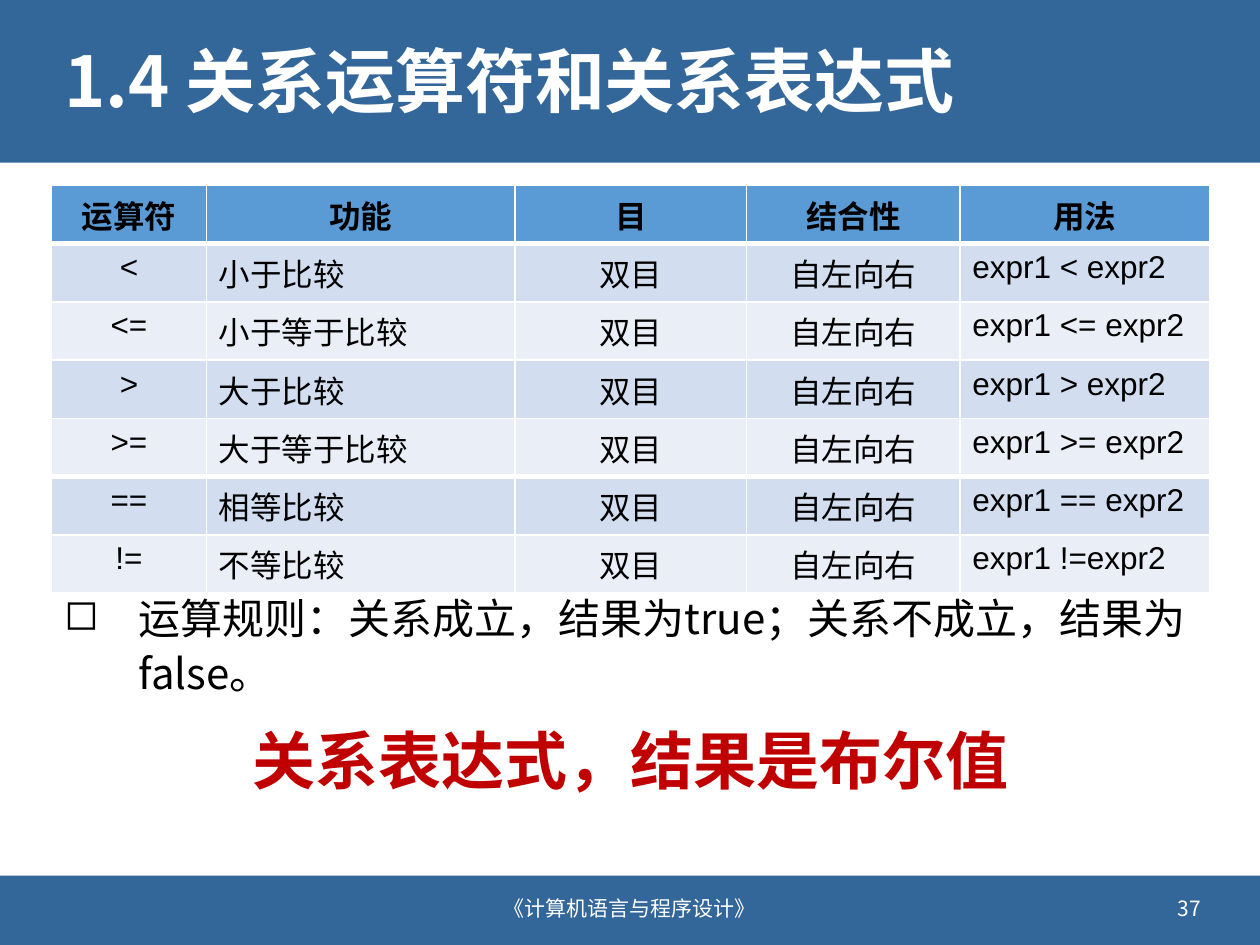
from dataclasses import dataclass

from lxml import etree
from pptx import Presentation
from pptx.dml.color import RGBColor
from pptx.enum import shapes, text
from pptx.oxml import ns
from pptx.util import Pt

WHITE = RGBColor(0xFF, 0xFF, 0xFF)
BLACK = RGBColor(0, 0, 0)
RED = RGBColor(0xC0, 0, 0)
BAND_BLUE = RGBColor(0x33, 0x66, 0x99)
HEADER_BLUE = RGBColor(0x5B, 0x9B, 0xD5)
ROW_FILLS = (RGBColor(0xD2, 0xDE, 0xEF), RGBColor(0xEA, 0xEF, 0xF7))

CJK = "Noto Sans CJK SC"
LEFT, CENTER, RIGHT = (text.PP_ALIGN.LEFT, text.PP_ALIGN.CENTER,
                       text.PP_ALIGN.RIGHT)
TOP, MIDDLE = text.MSO_ANCHOR.TOP, text.MSO_ANCHOR.MIDDLE

SLIDE_WIDTH, SLIDE_HEIGHT = 720, 540
MARGIN, CONTENT_WIDTH = 29.5, 661.7
INDENT = 42.5


@dataclass(frozen=True)
class Style:
    size: float
    color: RGBColor
    name: str = CJK
    bold: bool = False
    align: text.PP_ALIGN = LEFT


@dataclass(frozen=True)
class Label:
    words: str
    left: float
    top: float
    width: float
    height: float
    style: Style
    anchor: text.MSO_ANCHOR = TOP
    fit: text.MSO_AUTO_SIZE = text.MSO_AUTO_SIZE.NONE


TITLE = Label("1.4 关系运算符和关系表达式", MARGIN, 13, CONTENT_WIDTH, 71.3,
              Style(40, WHITE, bold=True), MIDDLE)
RULE = Label("运算规则：关系成立，结果为true；关系不成立，结果为false。",
             MARGIN, 332, CONTENT_WIDTH, 154, Style(24, BLACK))
OTHER_LABELS = (
    Label("关系表达式，结果是布尔值", 131.8, 409, 456.5, 51,
          Style(36, RED, "Arial", True, CENTER),
          fit=text.MSO_AUTO_SIZE.SHAPE_TO_FIT_TEXT),
    Label("《计算机语言与程序设计》", 230.4, 504.7, 259.2, 28.8,
          Style(12, WHITE, align=CENTER), MIDDLE),
    Label("37", 520.6, 504.7, 172.8, 28.8,
          Style(12, WHITE, align=RIGHT), MIDDLE),
)

HEADERS = ("运算符", "功能", "目", "结合性", "用法")
OPERATORS = (
    ("<", "小于比较", "expr1 < expr2"),
    ("<=", "小于等于比较", "expr1 <= expr2"),
    (">", "大于比较", "expr1 > expr2"),
    (">=", "大于等于比较", "expr1 >= expr2"),
    ("==", "相等比较", "expr1 == expr2"),
    ("!=", "不等比较", "expr1 !=expr2"),
)
COLUMN_WIDTHS = (88.4, 176.4, 132.4, 121.8, 142.7)
COLUMN_ALIGNS = (CENTER, LEFT, CENTER, CENTER, LEFT)
ROW_HEIGHT = 29.2
THICK_RULE_BELOW = (0, 4)


def write(frame, words: str, style: Style):
    para = frame.paragraphs[0]
    para.alignment = style.align
    span = para.add_run()
    span.text = words
    span.font.color.rgb = style.color
    for key, value in {"size": Pt(style.size), "bold": style.bold,
                       "name": style.name}.items():
        setattr(span.font, key, value)
    etree.SubElement(span._r.get_or_add_rPr(), ns.qn("a:ea"), typeface=CJK)
    return para


def fill_label(box, label: Label):
    for side in ("left", "top", "width", "height"):
        setattr(box, side, Pt(getattr(label, side)))
    frame = box.text_frame
    for key, value in {"word_wrap": True, "auto_size": label.fit,
                       "vertical_anchor": label.anchor}.items():
        setattr(frame, key, value)
    return write(frame, label.words, label.style)


def add_label(page, label: Label):
    box = page.shapes.add_textbox(0, 0, 0, 0)
    return fill_label(box, label)


def add_band(page, top: float, height: float) -> None:
    """Draw a full-width band behind the title."""
    band = page.shapes.add_shape(shapes.MSO_SHAPE.RECTANGLE, 0, Pt(top),
                                 Pt(SLIDE_WIDTH), Pt(height))
    band.shadow.inherit = False
    band.fill.solid()
    band.fill.fore_color.rgb = BAND_BLUE
    band.line.fill.background()
    page.shapes.title.element.addprevious(band.element)


def set_borders(cell, top: float, bottom: float) -> None:
    properties = cell._tc.get_or_add_tcPr()
    for side, width in {"L": 1, "R": 1, "T": top, "B": bottom}.items():
        line = etree.SubElement(properties, ns.qn(f"a:ln{side}"),
                                w=str(Pt(width)))
        fill = etree.SubElement(line, ns.qn("a:solidFill"))
        etree.SubElement(fill, ns.qn("a:srgbClr"), val=str(WHITE))


def add_operator_table(page) -> None:
    rows = [HEADERS] + [(sign, meaning, "双目", "自左向右", usage)
                        for sign, meaning, usage in OPERATORS]
    table = page.shapes.add_table(
        len(rows), len(HEADERS), Pt(MARGIN), Pt(106), Pt(CONTENT_WIDTH),
        Pt(ROW_HEIGHT * len(rows))).table
    for column, width in zip(table.columns, COLUMN_WIDTHS):
        column.width = Pt(width)
    for r, row in enumerate(rows):
        header = r == 0
        table.rows[r].height = Pt(ROW_HEIGHT)
        for c, words in enumerate(row):
            cell = table.cell(r, c)
            set_borders(cell, top=3 if r - 1 in THICK_RULE_BELOW else 1,
                        bottom=3 if r in THICK_RULE_BELOW else 1)
            cell.fill.solid()
            cell.fill.fore_color.rgb = (HEADER_BLUE if header
                                        else ROW_FILLS[(r - 1) % 2])
            write(cell.text_frame, words,
                  Style(18, BLACK, CJK if header else "Arial", header,
                        CENTER if header else COLUMN_ALIGNS[c]))


def add_bullet(para) -> None:
    properties = para._p.get_or_add_pPr()
    properties.set("marL", str(Pt(INDENT)))
    properties.set("indent", str(-Pt(INDENT)))
    color = etree.SubElement(properties, ns.qn("a:buClr"))
    etree.SubElement(color, ns.qn("a:srgbClr"), val=str(BLACK))
    etree.SubElement(properties, ns.qn("a:buChar"), char="◻")


def main() -> None:
    deck = Presentation()
    deck.slide_width, deck.slide_height = Pt(SLIDE_WIDTH), Pt(SLIDE_HEIGHT)
    page = deck.slides.add_slide(deck.slide_layouts[5])
    add_band(page, 0, 92.9)
    add_band(page, 500.4, 39.6)
    fill_label(page.shapes.title, TITLE).line_spacing = 0.9
    add_operator_table(page)
    rule = add_label(page, RULE)
    add_bullet(rule)
    rule.line_spacing = 1.1
    for label in OTHER_LABELS:
        add_label(page, label)
    deck.save("out.pptx")


if __name__ == "__main__":
    main()
